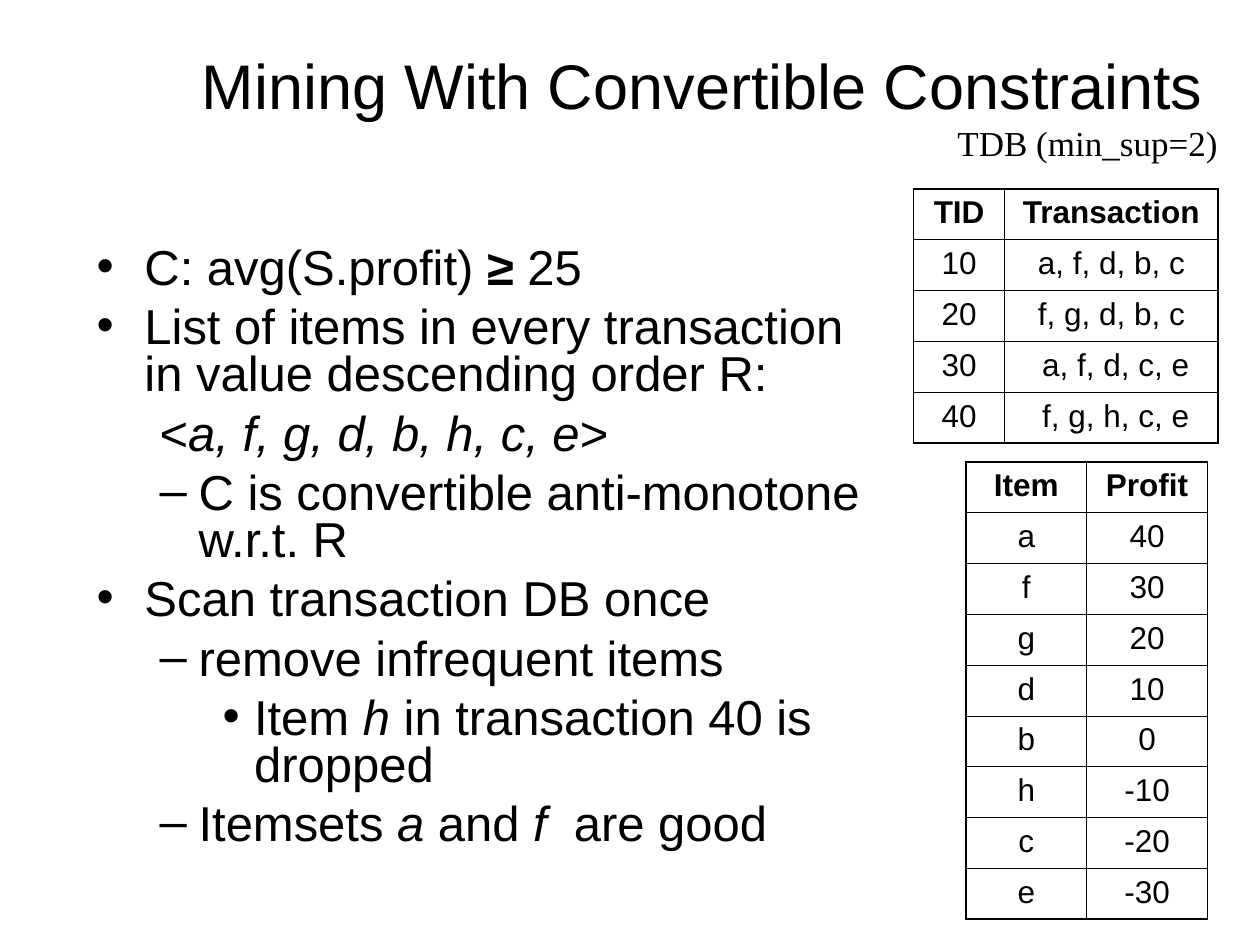
from lxml.etree import SubElement
from pptx import Presentation
from pptx.dml.color import RGBColor
from pptx.enum.text import MSO_ANCHOR, MSO_AUTO_SIZE, PP_ALIGN
from pptx.oxml.ns import qn
from pptx.util import Inches, Pt

BLACK = RGBColor(0, 0, 0)
COLS, ROWS = 120, 90
WIDE, HIGH = Inches(10), Inches(7.5)
THICK, THIN = Pt(1.08), Pt(0.45)

HEAD = {"name": "Arial", "size": Pt(36)}
BODY = {"name": "Arial", "size": Pt(28)}
NOTE = {"name": "Times New Roman", "size": Pt(20)}
CELL = {"name": "Arial", "size": Pt(18)}
FIXED = {"auto_size": MSO_AUTO_SIZE.NONE, "word_wrap": True}
GROWN = {"auto_size": MSO_AUTO_SIZE.SHAPE_TO_FIT_TEXT, "word_wrap": False}

INDENT = [(0.38, -0.38), (0.81, -0.31), (1.25, -0.25)]
POINTS = [
    (0, "•", [("C: avg(S.profit) ", ""), ("≥", "b"), (" 25", "")]),
    (0, "•", [("List of items in every transaction in value descending order R:", "")]),
    (1, "", [("<", ""), ("a, f, g, d, b, h, c, e", "i"), (">", "")]),
    (1, "–", [("C is convertible anti-monotone w.r.t. R", "")]),
    (0, "•", [("Scan transaction DB once", "")]),
    (1, "–", [("remove infrequent items", "")]),
    (2, "•", [("Item ", ""), ("h", "i"), (" in transaction 40 is dropped", "")]),
    (1, "–", [("Itemsets ", ""), ("a", "i"), (" and ", ""), ("f", "i"), ("  are good", "")]),
]
TRADES = [
    ("TID", "Transaction"),
    ("10", "a, f, d, b, c"),
    ("20", "f, g, d, b, c"),
    ("30", "a, f, d, c, e"),
    ("40", "f, g, h, c, e"),
]
GAINS = [("Item", "Profit")] + list(zip("afgdbhce", map(str, range(40, -31, -10))))


def across(n):
    return int(WIDE * n / COLS)


def down(n):
    return int(HIGH * n / ROWS)


def frame(box):
    x, y, w, h = box
    return across(x), down(y), across(w), down(h)


def apply(part, look):
    for key, val in look.items():
        setattr(part, key, val)


def place(shape, box):
    apply(shape, dict(zip(("left", "top", "width", "height"), frame(box))))


def write(para, text, look, style=""):
    run = para.add_run()
    run.text = text
    apply(run.font, look | {"bold": "b" in style, "italic": "i" in style})
    run.font.color.rgb = BLACK


def mark(para, level, sign):
    props = para._p.get_or_add_pPr()
    left, hang = INDENT[level]
    props.set("marL", str(Inches(left)))
    props.set("indent", str(Inches(hang)))
    if not sign:
        SubElement(props, qn("a:buNone"))
        return
    tint = SubElement(props, qn("a:buClr"))
    SubElement(tint, qn("a:srgbClr"), val=str(BLACK))
    SubElement(props, qn("a:buFont"), typeface="Arial")
    SubElement(props, qn("a:buChar"), char=sign)


def title(slide, box):
    shape = slide.shapes.title
    place(shape, box)
    apply(shape.text_frame, FIXED | {"vertical_anchor": MSO_ANCHOR.MIDDLE})
    para = shape.text_frame.paragraphs[0]
    para.alignment = PP_ALIGN.CENTER
    write(para, "Mining With Convertible Constraints", HEAD)


def points(slide, box):
    shape = slide.placeholders[1]
    place(shape, box)
    text = shape.text_frame
    apply(text, FIXED)
    for i, (level, sign, runs) in enumerate(POINTS):
        para = text.add_paragraph() if i else text.paragraphs[0]
        mark(para, level, sign)
        gap = Pt(7 if i else 0)
        apply(para, {"level": level, "line_spacing": 0.8, "space_before": gap})
        for words, style in runs:
            write(para, words, BODY, style)


def note(slide, box):
    text = slide.shapes.add_textbox(*frame(box)).text_frame
    apply(text, GROWN)
    write(text.paragraphs[0], "TDB (min_sup=2)", NOTE)


def edge(cell, sides):
    props = cell._tc.get_or_add_tcPr()
    for side, outer in sides.items():
        line = SubElement(props, qn("a:ln" + side), w=str(THICK if outer else THIN))
        fill = SubElement(line, qn("a:solidFill"))
        SubElement(fill, qn("a:srgbClr"), val=str(BLACK))


def grid(slide, box, data, parts, nudged=()):
    rows, cols = len(data), len(parts)
    table = slide.shapes.add_table(rows, cols, *frame(box)).table
    apply(table, {"first_row": False, "horz_banding": False})
    for col, part in zip(table.columns, parts):
        col.width = int(across(box[2]) * part)
    for r, row in enumerate(data):
        for c, words in enumerate(row):
            cell = table.cell(r, c)
            edge(cell, {"L": c == 0, "R": c == cols - 1, "T": r == 0, "B": r == rows - 1})
            cell.fill.background()
            if (r, c) in nudged:
                cell.margin_left = Inches(0.17)
            para = cell.text_frame.paragraphs[0]
            para.alignment = PP_ALIGN.CENTER
            write(para, words, CELL, "" if r else "b")


def main():
    deck = Presentation()
    apply(deck, {"slide_width": WIDE, "slide_height": HIGH})
    slide = deck.slides.add_slide(deck.slide_layouts[1])
    title(slide, (17.8, 3, 98.2, 10))
    points(slide, (8, 23, 78, 64))
    grid(slide, (87, 18, 29, 24.2), TRADES, (0.3, 0.7), {(3, 1), (4, 1)})
    note(slide, (90, 11, 27.5, 5.3))
    grid(slide, (92, 44, 23, 43.55), GAINS, (0.5, 0.5))
    deck.save("out.pptx")


if __name__ == "__main__":
    main()
